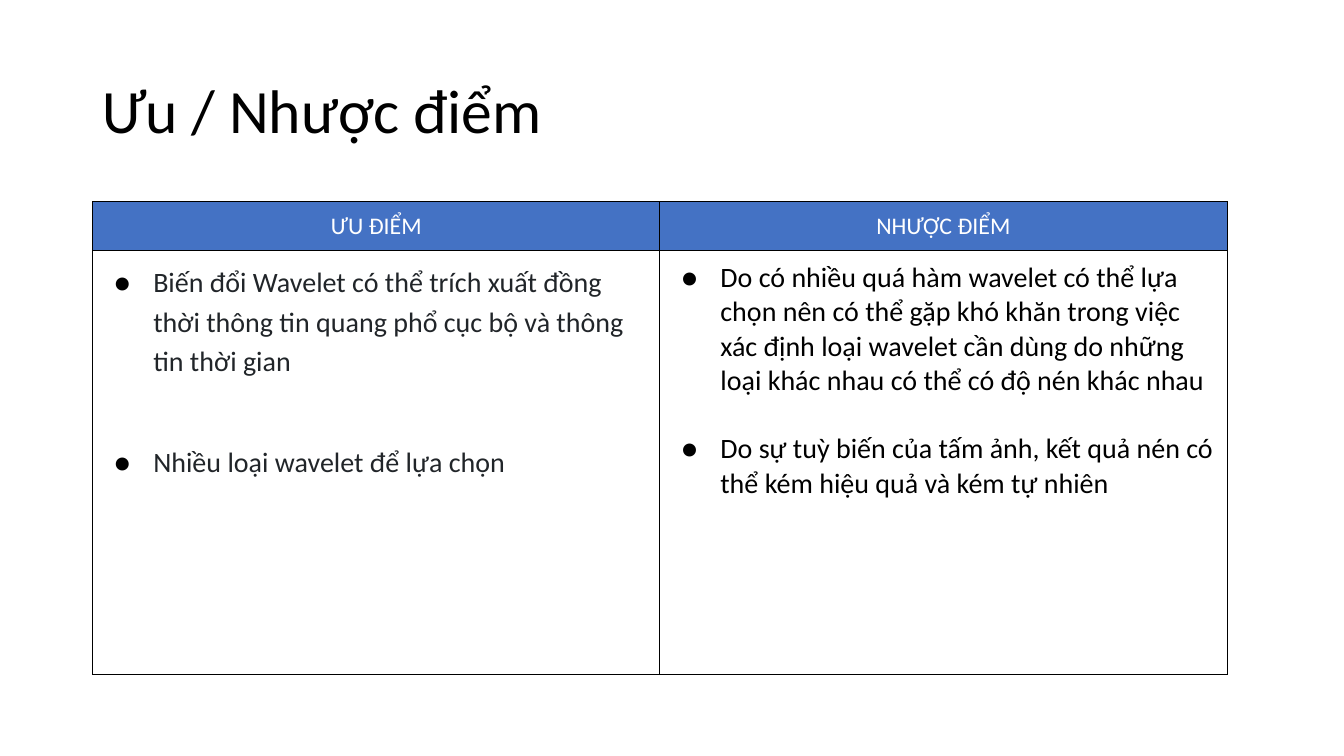
from dataclasses import dataclass

import pptx
import pptx.dml.color
import pptx.enum.text
import pptx.oxml
import pptx.oxml.ns
import pptx.util

BLACK = pptx.dml.color.RGBColor(0x00, 0x00, 0x00)
WHITE = pptx.dml.color.RGBColor(0xFF, 0xFF, 0xFF)
HEADER_BLUE = pptx.dml.color.RGBColor(0x44, 0x72, 0xC4)
CHARCOAL = pptx.dml.color.RGBColor(0x21, 0x25, 0x29)

FONT = "Calibri"
LEFT = pptx.util.Inches(0.92)
CELL_MARGIN = pptx.util.Inches(0.1)
ROW_HEIGHTS = [0.48, 0.42, 0.42, 0.42, 2.94]
COLUMN_WIDTH = 5.625
BORDER_WIDTH = pptx.util.Pt(0.75)
BULLET_MARGIN = pptx.util.Inches(0.5)
BULLET_INDENT = pptx.util.Inches(-0.39)


@dataclass(frozen=True)
class Aspect:
    heading: str
    points: list[str]
    color: pptx.dml.color.RGBColor
    line_spacing: float
    gap: float  # points between two bullets


ASPECTS = [
    Aspect("ƯU ĐIỂM", [
        "Biến đổi Wavelet có thể trích xuất đồng thời thông tin quang phổ "
        "cục bộ và thông tin thời gian",
        "Nhiều loại wavelet để lựa chọn",
    ], CHARCOAL, 1.15, 44),
    Aspect("NHƯỢC ĐIỂM", [
        "Do có nhiều quá hàm wavelet có thể lựa chọn nên có thể gặp khó khăn "
        "trong việc xác định loại wavelet cần dùng do những loại khác nhau "
        "có thể có độ nén khác nhau",
        "Do sự tuỳ biến của tấm ảnh, kết quả nén có thể kém hiệu quả "
        "và kém tự nhiên",
    ], BLACK, 1.0, 24.4),
]


def style_font(paragraph, size: float, color: pptx.dml.color.RGBColor) -> None:
    paragraph.font.name = FONT
    paragraph.font.size = pptx.util.Pt(size)
    paragraph.font.bold = False
    paragraph.font.color.rgb = color


def add_bullet(paragraph) -> None:
    properties = paragraph._p.get_or_add_pPr()
    properties.set("marL", str(BULLET_MARGIN))
    properties.set("indent", str(BULLET_INDENT))
    namespace = pptx.oxml.ns.nsdecls("a")
    for xml in (
        f'<a:buClr {namespace}><a:srgbClr val="{BLACK}"/></a:buClr>',
        f'<a:buFont {namespace} typeface="{FONT}"/>',
        f'<a:buChar {namespace} char="●"/>',
    ):
        properties.append(pptx.oxml.parse_xml(xml))


def frame_cell(cell) -> None:
    cell.margin_left = cell.margin_right = CELL_MARGIN
    cell.margin_top = cell.margin_bottom = CELL_MARGIN
    cell.fill.background()
    # Borders come before the fill in the cell properties
    properties = cell._tc.get_or_add_tcPr()
    for position, side in enumerate(("lnL", "lnR", "lnT", "lnB")):
        properties.insert(position, pptx.oxml.parse_xml(
            f'<a:{side} {pptx.oxml.ns.nsdecls("a")} w="{BORDER_WIDTH}">'
            f'<a:solidFill><a:srgbClr val="{BLACK}"/></a:solidFill></a:{side}>'))


def fill_column(table, column: int, aspect: Aspect) -> None:
    header = table.cell(0, column)
    header.fill.solid()
    header.fill.fore_color.rgb = HEADER_BLUE
    heading = header.text_frame.paragraphs[0]
    heading.text = aspect.heading
    heading.alignment = pptx.enum.text.PP_ALIGN.CENTER
    style_font(heading, 17, WHITE)

    body = table.cell(1, column)
    body.merge(table.cell(len(ROW_HEIGHTS) - 1, column))
    for index, point in enumerate(aspect.points):
        frame = body.text_frame
        paragraph = frame.add_paragraph() if index else frame.paragraphs[0]
        paragraph.text = point
        add_bullet(paragraph)
        paragraph.line_spacing = aspect.line_spacing
        paragraph.space_before = pptx.util.Pt(aspect.gap if index else 0)
        style_font(paragraph, 20, aspect.color)


def add_title(slide, text: str) -> None:
    title = slide.shapes.title
    title.left, title.top = LEFT, pptx.util.Inches(0.4)
    title.width, title.height = pptx.util.Inches(11.5), pptx.util.Inches(1.45)
    title.text_frame.text = text
    title.text_frame.vertical_anchor = pptx.enum.text.MSO_ANCHOR.MIDDLE
    title.text_frame.auto_size = pptx.enum.text.MSO_AUTO_SIZE.NONE
    heading = title.text_frame.paragraphs[0]
    heading.alignment = pptx.enum.text.PP_ALIGN.LEFT
    heading.line_spacing = 0.9
    style_font(heading, 44, BLACK)


def add_comparison(slide) -> None:
    table = slide.shapes.add_table(
        len(ROW_HEIGHTS), len(ASPECTS), LEFT, pptx.util.Inches(2),
        pptx.util.Inches(COLUMN_WIDTH * len(ASPECTS)),
        pptx.util.Inches(sum(ROW_HEIGHTS))).table
    table.first_row = table.horz_banding = False
    for row, height in zip(table.rows, ROW_HEIGHTS):
        row.height = pptx.util.Inches(height)
    for cell in table.iter_cells():
        frame_cell(cell)
    for column, aspect in enumerate(ASPECTS):
        fill_column(table, column, aspect)


def main() -> None:
    presentation = pptx.Presentation()
    presentation.slide_width = pptx.util.Inches(13.33)
    presentation.slide_height = pptx.util.Inches(7.5)
    title_only = presentation.slide_layouts[5]
    slide = presentation.slides.add_slide(title_only)
    add_title(slide, "Ưu / Nhược điểm")
    add_comparison(slide)
    presentation.save("out.pptx")


if __name__ == "__main__":
    main()
